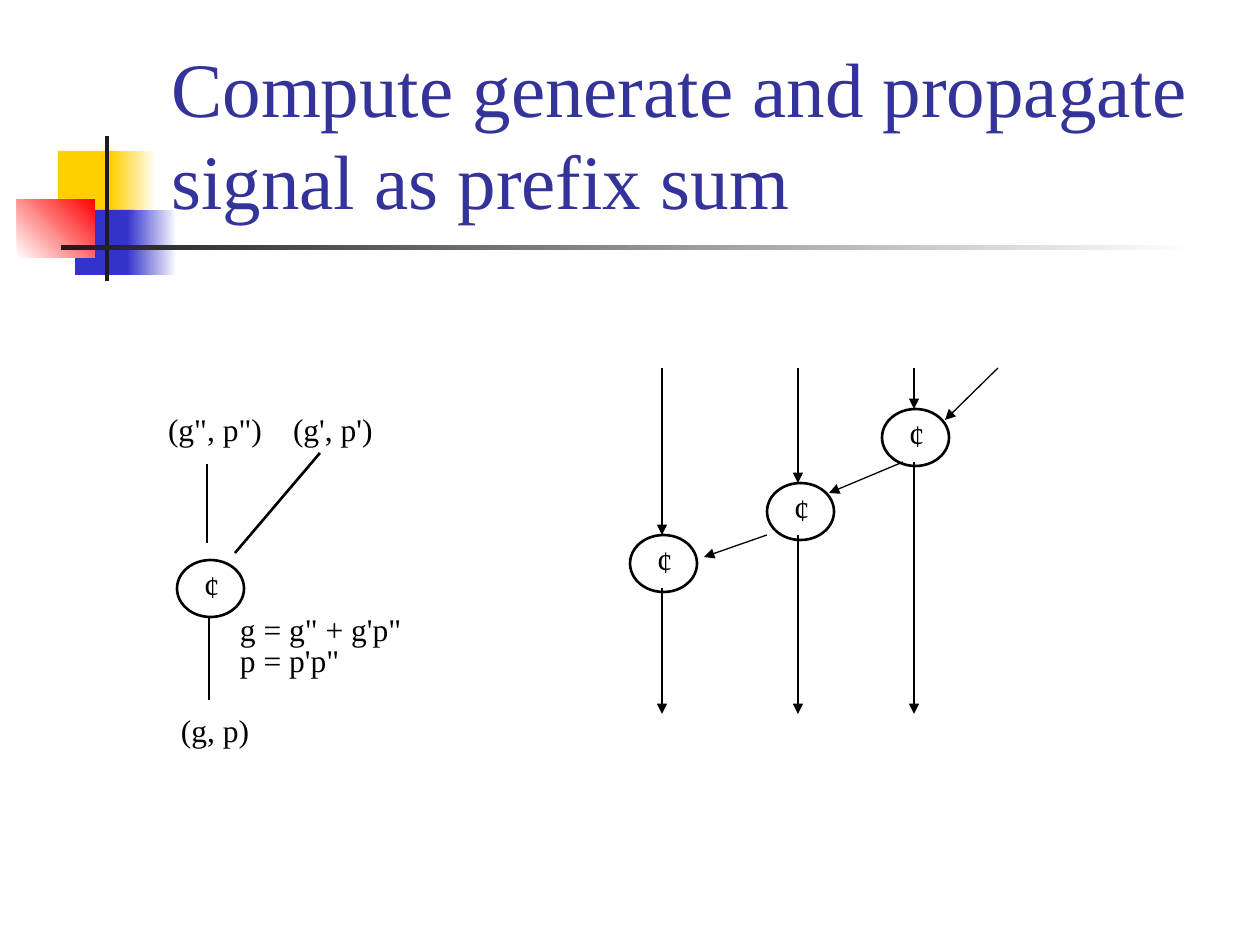
from lxml import etree
from pptx import Presentation
from pptx.dml.color import RGBColor as RGB
from pptx.enum.shapes import MSO_CONNECTOR as CONN, MSO_SHAPE as SHAPE
from pptx.enum.text import MSO_ANCHOR as ANCHOR
from pptx.oxml.ns import qn
from pptx.util import Pt

PX = 914400 / 126
FONT = "Times New Roman"
COLORS = {
    "white": "FFFFFF", "black": "000000", "bar": "1C1C1C", "title": "333399",
    "yellow": "FFCF01", "blue": "3333CC", "red": "FF0000",
}

DECOR = [
    ((58, 151, 60, 66), "yellow", None, 0),
    ((111, 151, 45, 66), "yellow", "white", 0),
    ((75, 210, 58, 65), "blue", None, 0),
    ((127, 210, 50, 65), "blue", "white", 0),
    ((17, 199, 78, 59), "white", "red", 45),
    ((105, 136, 4, 145), "bar", None, 0),
    ((61, 245, 1134, 5), "bar", "white", 0),
]
TITLE = "Compute generate and propagate signal as prefix sum"
TITLE_BOX = (159, 29, 1073, 202)

NODE_W, NODE_H = 67, 57
NODES = [(177, 560), (882, 409), (767, 483), (630, 535)]
GLYPH = "¢"
GLYPH_DX, GLYPH_DY = 27, 7

LABEL_H = 38
PAIR_TAB = 125
LABELS = [
    ("(g\", p\")\t(g', p')", 168, 410, 210),
    ("g = g\" + g'p\"", 240, 610, 174),
    ("p = p'p\"", 240, 641, 106),
    ("(g, p)", 181, 711, 76),
]

EDGES = [(209, 616, 209, 700), (207, 543, 207, 464), (320, 453, 235, 553)]
TOP, BOTTOM = 368, 714
COLUMNS = [(914, 409, 462), (798, 483, 535), (662, 535, 588)]
CARRIES = [(998, 368, 945, 420), (903, 462, 829, 493), (767, 535, 704, 557)]


def emu(*values):
    return [round(v * PX) for v in values]


def color(name):
    return RGB.from_string(COLORS[name])


def add_block(s, box, first, last, angle):
    sp = s.shapes.add_shape(SHAPE.RECTANGLE, *emu(*box))
    sp.shadow.inherit = False
    sp.line.fill.background()
    if last is None:
        sp.fill.solid()
        sp.fill.fore_color.rgb = color(first)
        return
    sp.fill.gradient()
    sp.fill.gradient_angle = angle
    for stop, name, pos in zip(sp.fill.gradient_stops, (first, last), (0, 1)):
        stop.color.rgb = color(name)
        stop.position = pos


def add_text(s, text, box, size, name, wrap):
    tf = s.shapes.add_textbox(*emu(*box)).text_frame
    tf.word_wrap = wrap
    p = tf.paragraphs[0]
    p.text = text
    if "\t" in text:
        tabs = etree.SubElement(p._p.get_or_add_pPr(), qn("a:tabLst"))
        etree.SubElement(tabs, qn("a:tab"), pos=str(emu(PAIR_TAB)[0]), algn="l")
    for r in p.runs:
        r.font.name = FONT
        r.font.size = Pt(size)
        r.font.color.rgb = color(name)
    return tf


def add_label(s, text, x, y, w):
    tf = add_text(s, text, (x, y, w, LABEL_H), 18, "black", False)
    tf.margin_left = tf.margin_right = tf.margin_top = tf.margin_bottom = 0


def add_node(s, x, y):
    sp = s.shapes.add_shape(SHAPE.OVAL, *emu(x, y, NODE_W, NODE_H))
    sp.shadow.inherit = False
    sp.fill.solid()
    sp.fill.fore_color.rgb = color("white")
    sp.line.color.rgb = color("black")
    sp.line.width = Pt(1.5)
    add_label(s, GLYPH, x + GLYPH_DX, y + GLYPH_DY, 18)


def add_line(s, ends, width, arrow):
    c = s.shapes.add_connector(CONN.STRAIGHT, *emu(*ends))
    c.line.color.rgb = color("black")
    c.line.width = Pt(width)
    if arrow:
        etree.SubElement(c.line._get_or_add_ln(), qn("a:tailEnd"), type="triangle")
    etree.SubElement(c._element.spPr, qn("a:effectLst"))


def main():
    prs = Presentation()
    prs.slide_width, prs.slide_height = emu(1260, 945)
    s = prs.slides.add_slide(prs.slide_layouts[6])
    for block in DECOR:
        add_block(s, *block)
    tf = add_text(s, TITLE, TITLE_BOX, 44, "title", True)
    tf.vertical_anchor = ANCHOR.BOTTOM
    for edge in EDGES:
        add_line(s, edge, 1.5, False)
    for node in NODES:
        add_node(s, *node)
    for label in LABELS:
        add_label(s, *label)
    for x, node_top, node_bottom in COLUMNS:
        add_line(s, (x, TOP, x, node_top), 0.75, True)
        add_line(s, (x, node_bottom, x, BOTTOM), 0.75, True)
    for carry in CARRIES:
        add_line(s, carry, 0.75, True)
    prs.save("out.pptx")


if __name__ == "__main__":
    main()
